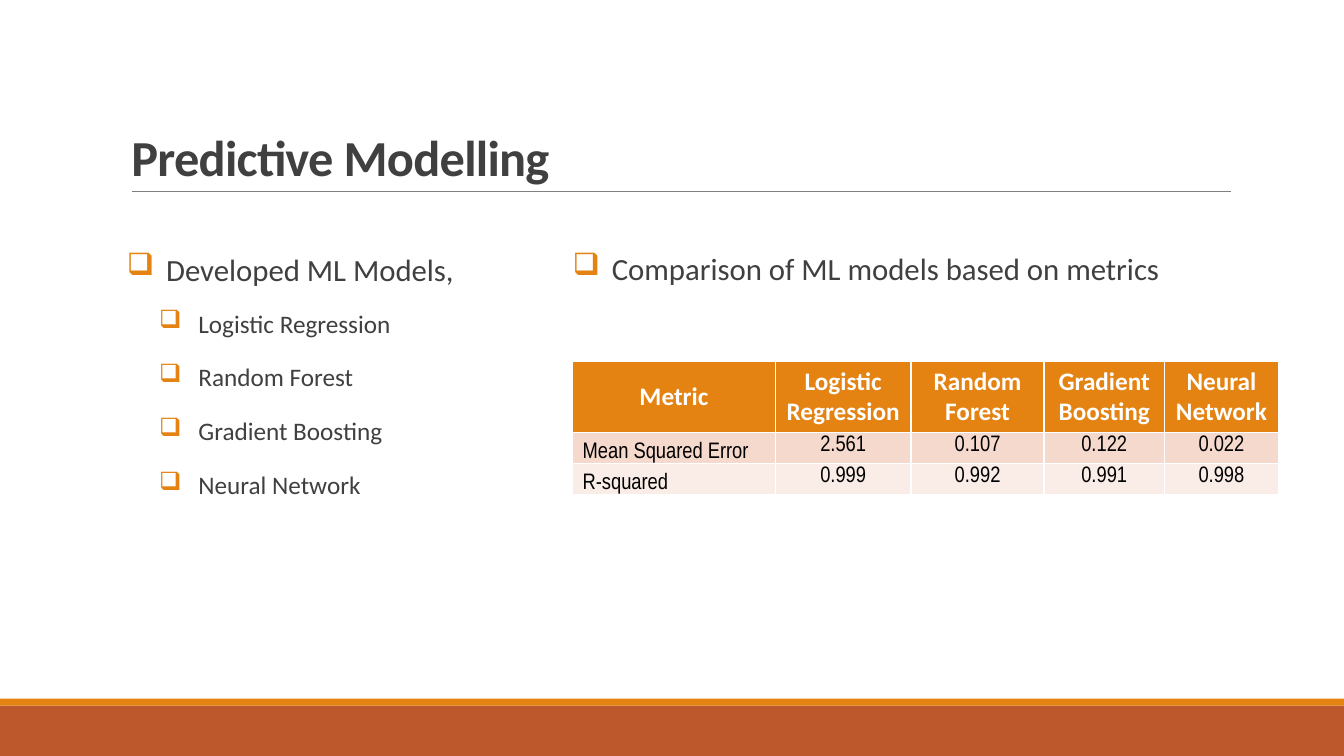
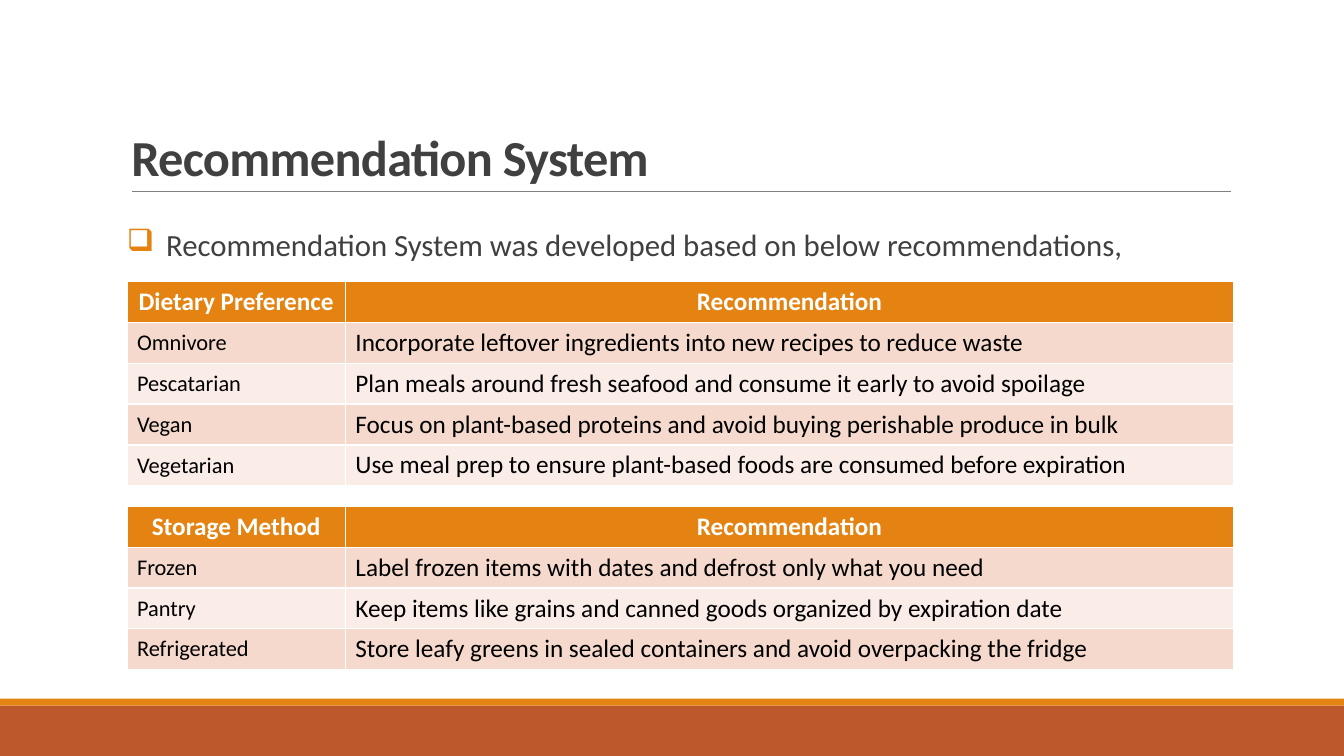
"""Build two slides on predictive models and a recommendation system."""
import dataclasses

import pptx
import pptx.dml.color
import pptx.enum.shapes
import pptx.enum.text
import pptx.oxml
import pptx.oxml.ns
import pptx.util

Pt = pptx.util.Pt
ALIGN = pptx.enum.text.PP_ALIGN
ANCHOR = pptx.enum.text.MSO_ANCHOR


@dataclasses.dataclass(frozen=True)
class Theme:
    """Colours, fonts and type sizes of the deck."""
    accent: str = "E48312"
    footer: str = "BD582C"
    rule: str = "808080"
    text: str = "404040"
    cell_text: str = "000000"
    header_text: str = "FFFFFF"
    stripes: tuple = ("F5D9CC", "FAEDE7")
    font: str = "Calibri"
    narrow_font: str = "Arial Narrow"
    title_size: float = 36
    lead_size: float = 22
    body_size: float = 18
    label_size: float = 16


THEME = Theme()


@dataclasses.dataclass(frozen=True)
class CellStyle:
    """Look of the text in one kind of table cell."""
    size: float = THEME.body_size
    font: str = THEME.font
    color: str = THEME.cell_text
    bold: bool = False
    align: ALIGN = ALIGN.LEFT
    anchor: ANCHOR = ANCHOR.MIDDLE
    margin_top: float = 3.6
    margin_bottom: float = 3.6


HEADER = CellStyle(color=THEME.header_text, bold=True, align=ALIGN.CENTER)
LABEL = CellStyle(size=THEME.label_size)
ADVICE = CellStyle()
METRIC = CellStyle(size=THEME.label_size, font=THEME.narrow_font,
                   anchor=ANCHOR.BOTTOM, margin_top=0, margin_bottom=0)
SCORE = dataclasses.replace(METRIC, align=ALIGN.CENTER, anchor=ANCHOR.MIDDLE,
                            margin_bottom=3)

SLIDE_WIDTH, SLIDE_HEIGHT = 960, 540
CONTENT_LEFT = 90.7
COMPARISON_LEFT = 409
ADVICE_ROW = 29.2
ADVICE_COLUMNS = (156, 634.5)

MODELS = ("Logistic Regression", "Random Forest", "Gradient Boosting", "Neural Network")
SCORES = (
    ("Metric", *MODELS),
    ("Mean Squared Error", "2.561", "0.107", "0.122", "0.022"),
    ("R-squared", "0.999", "0.992", "0.991", "0.998"),
)
DIETS = (
    ("Dietary Preference", "Recommendation"),
    ("Omnivore", "Incorporate leftover ingredients into new recipes to reduce waste"),
    ("Pescatarian", "Plan meals around fresh seafood and consume it early to avoid spoilage"),
    ("Vegan", "Focus on plant-based proteins and avoid buying perishable produce in bulk"),
    ("Vegetarian", "Use meal prep to ensure plant-based foods are consumed before expiration"),
)
STORAGE = (
    ("Storage Method", "Recommendation"),
    ("Frozen", "Label frozen items with dates and defrost only what you need"),
    ("Pantry", "Keep items like grains and canned goods organized by expiration date"),
    ("Refrigerated", "Store leafy greens in sealed containers and avoid overpacking the fridge"),
)


def rgb(value):
    """Turn a hex string into a colour."""
    return pptx.dml.color.RGBColor.from_string(value)


def add_element(parent, tag, **attributes):
    """Append an empty DrawingML element and return it."""
    element = pptx.oxml.parse_xml(f"<{tag} {pptx.oxml.ns.nsdecls('a')}/>")
    for name, value in attributes.items():
        element.set(name, str(value))
    parent.append(element)
    return element


def set_font(paragraph, name, size, color, bold=False):
    """Set the font of a whole paragraph."""
    font = paragraph.font
    font.name, font.size, font.bold = name, Pt(size), bold
    font.color.rgb = rgb(color)


def add_band(slide, top, height, color):
    """Draw a band over the full slide width."""
    band = slide.shapes.add_shape(pptx.enum.shapes.MSO_SHAPE.RECTANGLE,
                                  0, Pt(top), Pt(SLIDE_WIDTH), Pt(height))
    band.shadow.inherit = False
    band.fill.solid()
    band.fill.fore_color.rgb = rgb(color)
    band.line.fill.background()
    return band


def add_title_rule(slide):
    """Draw the thin line under the title."""
    rule = slide.shapes.add_connector(pptx.enum.shapes.MSO_CONNECTOR.STRAIGHT,
                                      Pt(94.2), Pt(136.8), Pt(879), Pt(136.8))
    rule.line.color.rgb = rgb(THEME.rule)
    rule.line.width = Pt(0.5)
    add_element(rule.element.spPr, "a:effectLst")
    return rule


def decorate_layout(layout, slide):
    """Move the shared bands and title rule into the layout."""
    for shape in (add_band(slide, 504, 36, THEME.footer),
                  add_band(slide, 499, 5, THEME.accent),
                  add_title_rule(slide)):
        layout.shapes.element.append(shape.element)


def set_title(slide, text):
    """Place and format the slide title."""
    title = slide.shapes.title
    title.left, title.top, title.width, title.height = Pt(86.6), Pt(22.6), Pt(823), Pt(114.2)
    frame = title.text_frame
    frame.text = text
    frame.auto_size = pptx.enum.text.MSO_AUTO_SIZE.NONE
    frame.vertical_anchor = ANCHOR.BOTTOM
    paragraph = frame.paragraphs[0]
    paragraph.alignment = ALIGN.LEFT
    paragraph.line_spacing = 0.85
    set_font(paragraph, THEME.font, THEME.title_size, THEME.text, bold=True)
    for properties in title.element.iter(pptx.oxml.ns.qn("a:defRPr")):
        properties.set("spc", "-50")


def add_bullets(slide, box, lead, items=(), line_spacing=1.5):
    """Write a lead bullet with indented items under it."""
    frame = slide.shapes.add_textbox(*map(Pt, box)).text_frame
    frame.word_wrap = True
    frame.margin_left = frame.margin_right = 0
    for index, text in enumerate((lead, *items)):
        paragraph = frame.add_paragraph() if index else frame.paragraphs[0]
        paragraph.text = text
        paragraph.level = min(index, 1)
        properties = paragraph._p.get_or_add_pPr()
        properties.set("marL", str(Pt(51 if index else 28)))
        properties.set("indent", str(-Pt(28)))
        add_element(add_element(properties, "a:buClr"), "a:srgbClr", val=THEME.accent)
        add_element(properties, "a:buChar", char="❑")
        paragraph.line_spacing = line_spacing
        paragraph.space_before = Pt(2 if index else 12)
        paragraph.space_after = Pt(4 if index else 2)
        set_font(paragraph, THEME.font, THEME.body_size if index else THEME.lead_size, THEME.text)


def fill_cell(cell, text, style, fill):
    """Write one table cell in the given style."""
    cell.text = text
    cell.fill.solid()
    cell.fill.fore_color.rgb = rgb(fill)
    cell.vertical_anchor = style.anchor
    cell.margin_top, cell.margin_bottom = Pt(style.margin_top), Pt(style.margin_bottom)
    paragraph = cell.text_frame.paragraphs[0]
    paragraph.alignment = style.align
    set_font(paragraph, style.font, style.size, style.color, style.bold)


def add_striped_table(slide, left, top, widths, heights, rows, label_style, value_style):
    """Build a table with an accent header and striped rows."""
    header_height, row_height = heights
    total_height = header_height + row_height * (len(rows) - 1)
    table = slide.shapes.add_table(len(rows), len(widths), Pt(left), Pt(top),
                                   Pt(sum(widths)), Pt(total_height)).table
    for column, width in zip(table.columns, widths):
        column.width = Pt(width)
    for row_index, texts in enumerate(rows):
        table.rows[row_index].height = Pt(row_height if row_index else header_height)
        fill = THEME.stripes[(row_index - 1) % 2] if row_index else THEME.accent
        for column_index, text in enumerate(texts):
            body_style = value_style if column_index else label_style
            fill_cell(table.cell(row_index, column_index), text,
                      body_style if row_index else HEADER, fill)


def build_modelling(slide):
    """Fill the slide on predictive models."""
    set_title(slide, "Predictive Modelling")
    add_striped_table(slide, COMPARISON_LEFT, 257.8, (144.8, 97, 95, 86, 81.5),
                      (51, 22.2), SCORES, METRIC, SCORE)
    add_bullets(slide, (CONTENT_LEFT, 162, 831.6, 121.7), "Developed ML Models,", MODELS)
    add_bullets(slide, (COMPARISON_LEFT, 175, 453, 121.7),
                "Comparison of ML models based on metrics", line_spacing=1)


def build_recommendation(slide):
    """Fill the slide on the recommendation system."""
    set_title(slide, "Recommendation System")
    add_bullets(slide, (CONTENT_LEFT, 144.7, 831.6, 121.7),
                "Recommendation System was developed based on below recommendations,")
    for top, rows in ((201, DIETS), (361.6, STORAGE)):
        add_striped_table(slide, CONTENT_LEFT, top, ADVICE_COLUMNS,
                          (ADVICE_ROW, ADVICE_ROW), rows, LABEL, ADVICE)


def main():
    """Build and save the presentation."""
    presentation = pptx.Presentation()
    presentation.slide_width, presentation.slide_height = Pt(SLIDE_WIDTH), Pt(SLIDE_HEIGHT)
    layout = presentation.slide_layouts.get_by_name("Title Only")
    slides = [presentation.slides.add_slide(layout) for _ in range(2)]
    decorate_layout(layout, slides[0])
    for build, slide in zip((build_modelling, build_recommendation), slides):
        build(slide)
    presentation.save("out.pptx")


if __name__ == "__main__":
    main()
